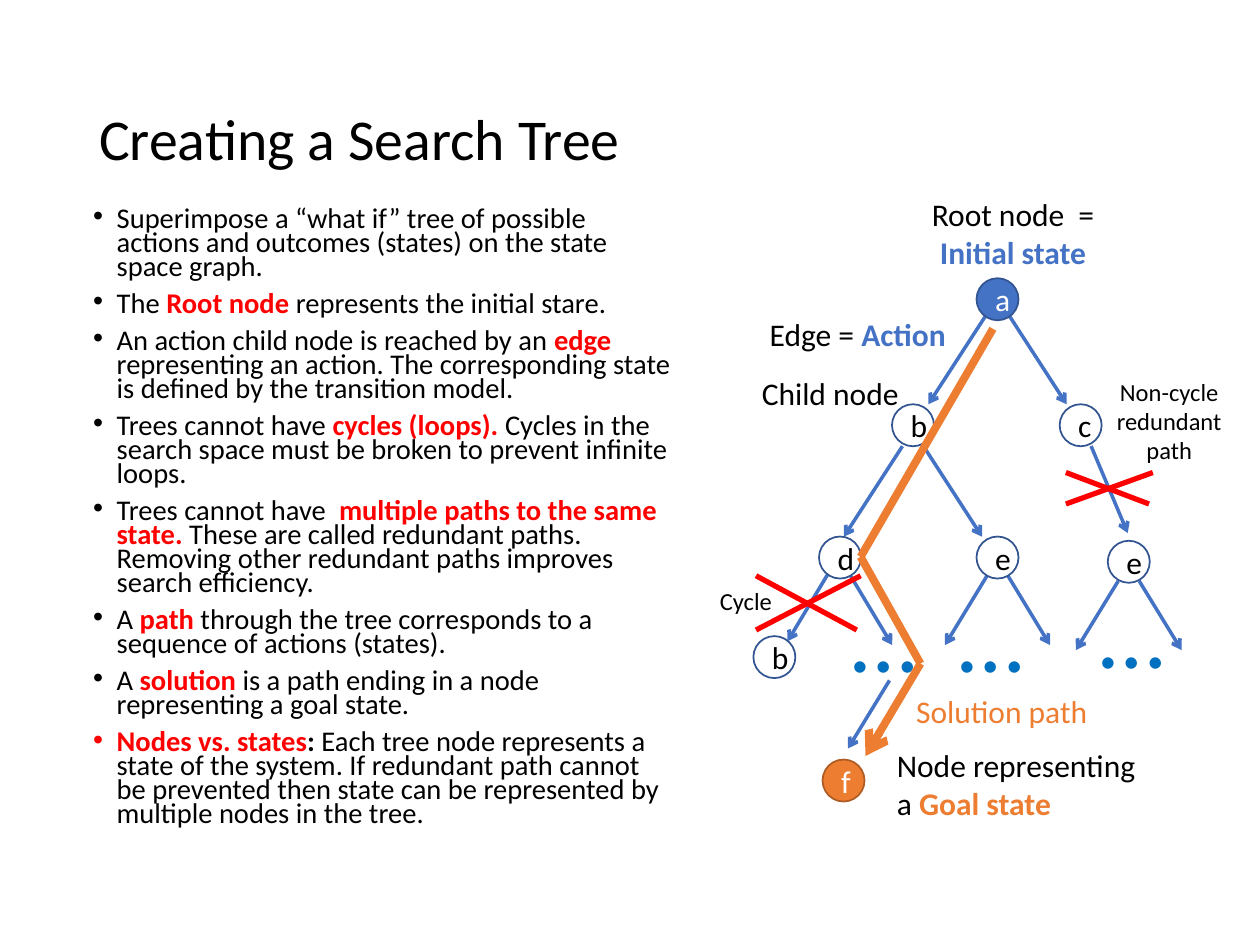
"""Build the slide on creating a search tree."""
from dataclasses import dataclass

from lxml import etree
from pptx import Presentation, util as u
from pptx.dml.color import RGBColor
from pptx.enum import shapes, text
from pptx.oxml import ns


@dataclass(frozen=True)
class Theme:
    font: str = "Calibri"
    ink: str = "000000"
    paper: str = "FFFFFF"
    state: str = "4472C4"
    outline: str = "325491"
    goal: str = "ED7D31"
    goal_outline: str = "AF5C24"
    alert: str = "FF0000"
    dots: str = "0070C0"
    title_size: float = 33
    body_size: float = 16.3
    label_size: float = 18
    note_size: float = 14
    dots_size: float = 54


def apply(target, values):
    for key, value in values.items():
        setattr(target, key, value)


class TreeSlide:
    def __init__(self, slide, theme):
        self.slide = slide
        self.theme = theme

    def add_runs(self, paragraph, runs, size, color):
        for run in runs:
            words, accent = (run, None) if isinstance(run, str) else run
            if words == "\n":
                paragraph.add_line_break()
                continue
            piece = paragraph.add_run()
            piece.text = words
            apply(piece.font, dict(name=self.theme.font, size=u.Pt(size), bold=bool(accent)))
            piece.font.color.rgb = RGBColor.from_string(accent or color)

    def label(self, box, paragraphs, size=None, color=None, centered=True,
              wrap=True, grow=True, bulleted=False, spacing=None, middle=False):
        frame = self.slide.shapes.add_textbox(*map(u.Pt, box)).text_frame
        fit = text.MSO_AUTO_SIZE
        anchor = text.MSO_ANCHOR
        apply(frame, dict(word_wrap=wrap,
                          auto_size=fit.SHAPE_TO_FIT_TEXT if grow else fit.NONE,
                          vertical_anchor=anchor.MIDDLE if middle else anchor.TOP))
        align = text.PP_ALIGN.CENTER if centered else text.PP_ALIGN.LEFT
        for index, runs in enumerate(paragraphs):
            paragraph = frame.add_paragraph() if index else frame.paragraphs[0]
            apply(paragraph, dict(alignment=align, line_spacing=spacing))
            if bulleted:
                self.bullet(paragraph)
                if index:
                    paragraph.space_before = u.Pt(7.5)
            self.add_runs(paragraph, runs, size or self.theme.label_size, color or self.theme.ink)

    def bullet(self, paragraph):
        properties = paragraph._p.get_or_add_pPr()
        indent = u.Pt(13.5)
        properties.set("marL", str(indent))
        properties.set("indent", str(-indent))
        etree.SubElement(properties, ns.qn("a:buFont"), typeface="Arial")
        etree.SubElement(properties, ns.qn("a:buChar"), char="•")

    def node(self, center, name, fill=None, outline=None, color=None):
        diameter = 24
        left, top = (value - diameter / 2 for value in center)
        circle = self.slide.shapes.add_shape(
            shapes.MSO_SHAPE.OVAL, *map(u.Pt, (left, top, diameter, diameter)))
        circle.shadow.inherit = False
        circle.fill.solid()
        circle.fill.fore_color.rgb = RGBColor.from_string(fill or self.theme.paper)
        circle.line.color.rgb = RGBColor.from_string(outline or self.theme.outline)
        circle.line.width = u.Pt(1)
        circle.text_frame.vertical_anchor = text.MSO_ANCHOR.MIDDLE
        paragraph = circle.text_frame.paragraphs[0]
        paragraph.alignment = text.PP_ALIGN.CENTER
        self.add_runs(paragraph, [name], self.theme.label_size, color or self.theme.ink)

    def line(self, start, end, color=None, width=2.0, arrow=True):
        link = self.slide.shapes.add_connector(
            shapes.MSO_CONNECTOR.STRAIGHT, *map(u.Pt, (*start, *end)))
        link.line.color.rgb = RGBColor.from_string(color or self.theme.state)
        link.line.width = u.Pt(width)
        if arrow:
            etree.SubElement(link.line._get_or_add_ln(), ns.qn("a:tailEnd"), type="arrow")
        etree.SubElement(link._element.spPr, ns.qn("a:effectLst"))

    def fork(self, center, near, far):
        x, y = center
        for side in (-1, 1):
            self.line((x + side * near[0], y + near[1]), (x + side * far[0], y + far[1]))

    def cross(self, left, right, top, bottom, foot):
        for start, end in (((left, top), (foot, bottom)), ((right, top), (left, bottom))):
            self.line(start, end, self.theme.alert, 3, arrow=False)


def main():
    theme = Theme()
    deck = Presentation()
    apply(deck, dict(slide_width=u.Pt(720), slide_height=u.Pt(540)))
    tree = TreeSlide(deck.slides.add_slide(deck.slide_layouts[6]), theme)

    tree.label((49.5, 28.8, 620.6, 104.4), [["Creating a Search Tree"]], theme.title_size,
               centered=False, grow=False, spacing=0.9, middle=True)
    red = theme.alert
    points = [
        ["Superimpose a “what if” tree of possible actions and outcomes (states) "
         "on the state space graph."],
        ["The", (" Root node", red), " represents the initial stare."],
        ["An action child node is reached by an ", ("edge", red),
         " representing an action. The corresponding state is defined by the transition model."],
        ["Trees cannot have ", ("cycles (loops). ", red),
         "Cycles in the search space must be broken to prevent infinite loops."],
        ["Trees cannot have  ", ("multiple paths to the same state.", red),
         " These are called redundant paths. Removing other redundant paths improves "
         "search efficiency."],
        ["A ", ("path", red), " through the tree corresponds to a sequence of actions (states)."],
        ["A ", ("solution", red), " is a path ending in a node representing a goal state."],
        [("Nodes vs. states", red), (": ", theme.ink),
         "Each tree node represents a state of the system. If redundant path cannot be "
         "prevented then state can be represented by multiple nodes in the tree."],
    ]
    tree.label((46.1, 115.9, 346.3, 388), points, theme.body_size, centered=False,
               grow=False, bulleted=True, spacing=0.7)

    for left, top in ((479.5, 326.9), (540.7, 326.9), (621.4, 324.7)):
        tree.label((left, top, 53.3, 72.7), [["…"]], theme.dots_size, theme.dots,
                   centered=False, wrap=False)

    root, left_child, right_child = (570, 171), (521.7, 243), (617.5, 243)
    cycle_parent, inner, redundant = (480, 318.6), (570, 318.6), (645, 321)
    tree.fork(root, (6, 8.3), (39.5, 60))
    tree.fork(left_child, (6, 12), (39.5, 63.7))
    tree.fork(inner, (6, 10.5), (30, 50))
    tree.fork(redundant, (6, 11), (30.2, 50.5))
    for start, end in (((473.8, 326.9), (450, 366.5)), ((486, 329), (509.8, 368.6)),
                       ((508.3, 388.8), (484.6, 427.7)), ((623.5, 254.9), (644.4, 304.6))):
        tree.line(start, end)

    tree.node(root, "a", theme.state, color=theme.paper)
    tree.node((482, 446), "f", theme.goal, theme.goal_outline, theme.paper)
    for center, name in ((left_child, "b"), (right_child, "c"), (cycle_parent, "d"),
                         (inner, "e"), (redundant, "e"), ((442.5, 375.5), "b")):
        tree.node(center, name)

    tree.label((522, 108, 113.8, 51), [["Root node  = ", ("Initial state", theme.state)]])
    tree.label((426.2, 210.2, 96.5, 29), [["Child node"]])
    tree.label((432.7, 176.4, 116.6, 29), [["Edge = ", ("Action", theme.state)]],
               centered=False, wrap=False)
    tree.label((505.4, 422.6, 157, 51),
               [["Node representing ", "\n", "a ", ("Goal state", theme.goal)]],
               centered=False, wrap=False)
    tree.label((619.9, 211.7, 96.5, 58.3), [["Non-cycle redundant"], ["path"]], theme.note_size)
    tree.cross(609.1, 658.8, 270, 288, 656.6)

    tree.label((511.9, 391.7, 121, 29), [["Solution path"]], color=theme.goal)
    route = [(567.4, 187.9), (491.8, 318.2), (526, 379.2), (494.6, 432)]
    for start, end in zip(route, route[1:]):
        tree.line(start, end, theme.goal, 4.5, arrow=end == route[-1])
    tree.label((378, 331.2, 96.5, 24.5), [["Cycle"]], theme.note_size)
    tree.cross(432, 491.8, 329, 360, 489.6)

    deck.save("out.pptx")


if __name__ == "__main__":
    main()
